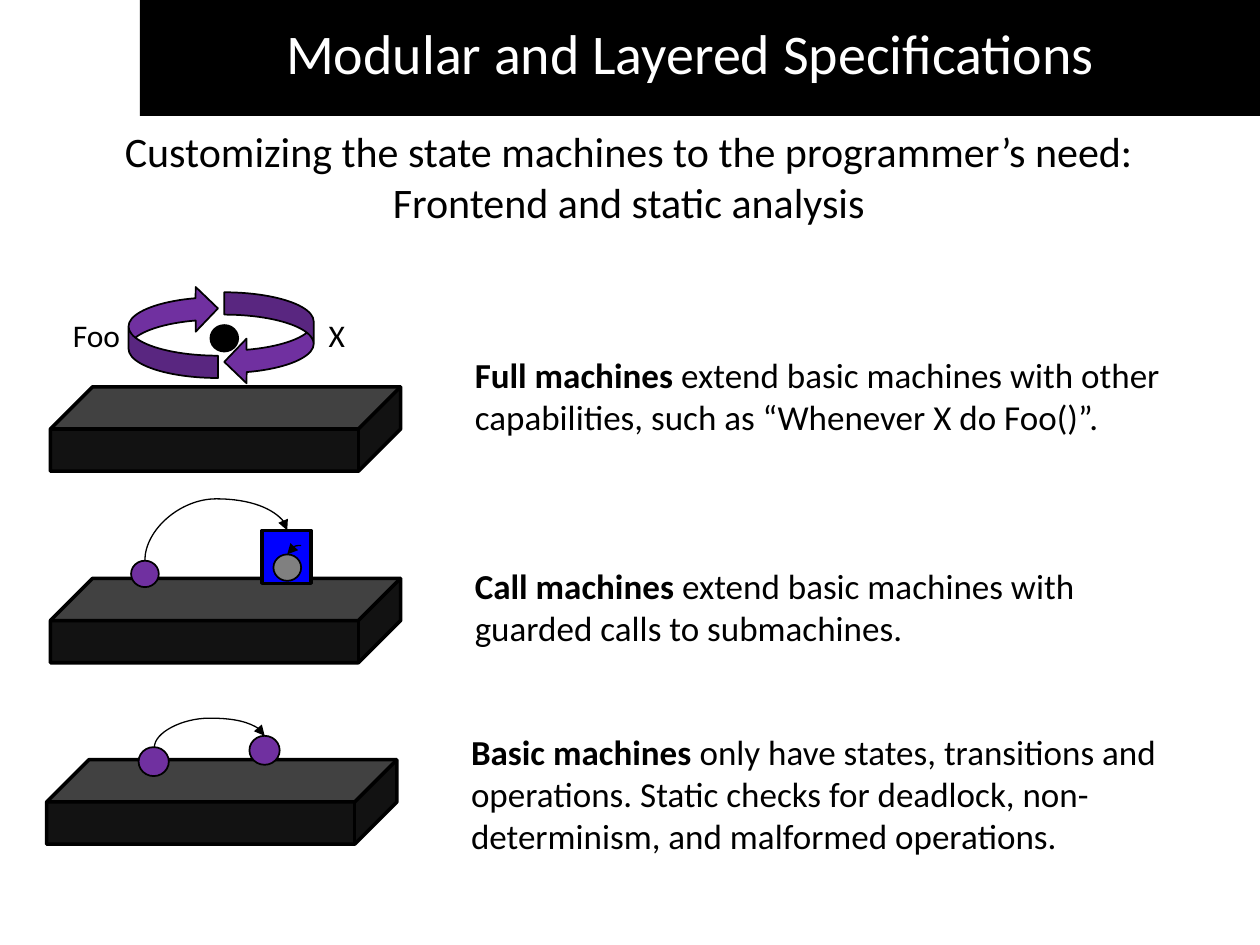
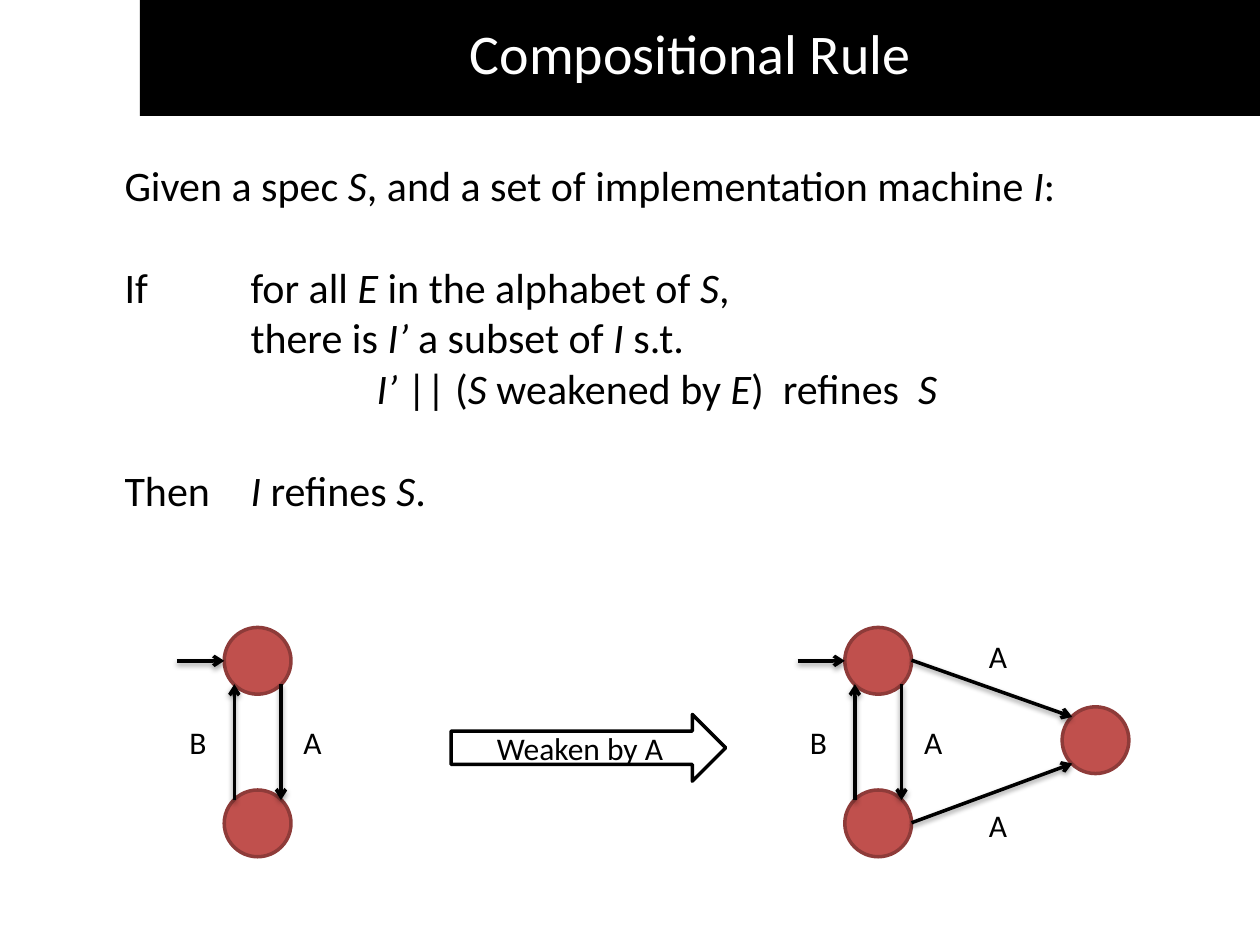
from dataclasses import dataclass
from typing import NamedTuple

from lxml.etree import SubElement
from pptx import Presentation
from pptx.dml.color import RGBColor
from pptx.enum.shapes import MSO_CONNECTOR, MSO_SHAPE
from pptx.enum.text import MSO_ANCHOR, MSO_AUTO_SIZE, PP_ALIGN
from pptx.oxml.ns import qn
from pptx.util import Inches, Pt

WIDE, HIGH = Inches(10), Inches(7.5)
COLS = 100
CELL = WIDE / COLS
FONT = "Calibri"
BLACK, WHITE, BLUE, GREY = "000000", "FFFFFF", "0000FF", "808080"
PURPLE, RED, MAROON = "7030A0", "C0504D", "8E3B39"
NODE = 5.3
SLANT = 0.8


class Spot(NamedTuple):
    col: float
    row: float


class Box(NamedTuple):
    col: float
    row: float
    cols: float
    rows: float


@dataclass
class Layer:
    words: str
    note: Box
    slab: Spot


@dataclass
class Line:
    words: str
    left: int = 0
    hang: int = 0
    gap: float = 0


@dataclass
class Tag:
    words: str
    box: Box


LAYERS = [
    Layer("*Basic machines *only have states, transitions and operations. "
          "Static checks for deadlock, non-determinism, and malformed operations.",
          Box(36.4, 57.5, 59.6, 11.1), Spot(3.7, 60.3)),
    Layer("*Call machines *extend basic machines with guarded calls to submachines.",
          Box(36.7, 44.3, 56.3, 7.7), Spot(4, 45.9)),
    Layer("*Full machines *extend basic machines with other capabilities, "
          "such as “Whenever X do Foo()”.",
          Box(36.7, 27.6, 61.4, 7.7), Spot(4, 30.7)),
]

BLANK = 29.3
RULE = [
    Line("Given a spec *S*, and a set of implementation machine *I*:"),
    Line("If\tfor all *E *in the alphabet of *S*,", 1, 1, BLANK),
    Line("there is *I’ *a subset of *I *s.t.", 1),
    Line("*I’* || (*S* weakened by *E*)  refines  *S*", 2),
    Line("Then\t*I* refines *S*.", 1, 1, BLANK),
]


def hue(code: str) -> RGBColor:
    return RGBColor.from_string(code)


def span(cells: float) -> int:
    return round(cells * CELL)


def write(shape, lines: list[Line], size: int, color: str = BLACK,
          align=PP_ALIGN.LEFT, mark: str = "bold") -> None:
    frame = shape.text_frame
    for rank, line in enumerate(lines):
        para = frame.add_paragraph() if rank else frame.paragraphs[0]
        para.alignment = align
        para.space_before = Pt(line.gap)
        if line.left:
            props = para._p.get_or_add_pPr()
            props.set("marL", str(Inches(line.left)))
            props.set("indent", str(-Inches(line.hang)))
        para.font.name, para.font.size = FONT, Pt(size)
        para.font.color.rgb = hue(color)
        for turn, part in enumerate(line.words.split("*")):
            if part:
                run = para.add_run()
                run.text = part
                if turn % 2:
                    setattr(run.font, mark, True)


def add_text(slide, box: Box, lines: list[Line], size: int, color: str = BLACK,
             align=PP_ALIGN.LEFT, mark: str = "bold", wrap: bool = True) -> None:
    shape = slide.shapes.add_textbox(*map(span, box))
    shape.text_frame.word_wrap = wrap
    shape.text_frame.auto_size = MSO_AUTO_SIZE.SHAPE_TO_FIT_TEXT
    write(shape, lines, size, color, align, mark)


def add_tag(slide, tag: Tag) -> None:
    add_text(slide, tag.box, [Line(tag.words)], 18, wrap=False)


def add_form(slide, kind, box: Box, fill: str, line: str = "", width: float = 1):
    shape = slide.shapes.add_shape(kind, *map(span, box))
    shape.shadow.inherit = False
    shape.fill.solid()
    shape.fill.fore_color.rgb = hue(fill)
    if line:
        shape.line.color.rgb = hue(line)
        shape.line.width = Pt(width)
    else:
        shape.line.fill.background()
    return shape


def add_link(slide, kind, start: Spot, end: Spot, width: float, head: str):
    link = slide.shapes.add_connector(kind, *map(span, (*start, *end)))
    link.line.color.rgb = hue(BLACK)
    link.line.width = Pt(width)
    SubElement(link.line._get_or_add_ln(), qn("a:tailEnd"), type=head)
    SubElement(link.element.spPr, qn("a:effectLst"))
    return link


def add_arrow(slide, start: Spot, end: Spot) -> None:
    link = add_link(slide, MSO_CONNECTOR.STRAIGHT, start, end, 2, "arrow")
    shade = SubElement(link.element.spPr.find(qn("a:effectLst")), qn("a:outerShdw"),
                       blurRad=str(Pt(3.1)), dist=str(Pt(1.6)), dir="5400000",
                       rotWithShape="0")
    tint = SubElement(shade, qn("a:srgbClr"), val=BLACK)
    SubElement(tint, qn("a:alpha"), val="38000")


def add_arc(slide, start: Spot, end: Spot, lift: float) -> None:
    run, rise = end.col - start.col, start.row - end.row
    mid = Spot((start.col + end.col) / 2, (start.row + end.row) / 2)
    link = add_link(slide, MSO_CONNECTOR.CURVE,
                    Spot(mid.col + rise / 2, mid.row + run / 2),
                    Spot(mid.col - rise / 2, mid.row - run / 2), 0.75, "triangle")
    link.element.spPr.find(qn("a:xfrm")).set("rot", "5400000")
    shape = link.element.spPr.find(qn("a:prstGeom"))
    guides = shape.find(qn("a:avLst"))
    if guides is None:
        guides = SubElement(shape, qn("a:avLst"))
    SubElement(guides, qn("a:gd"), name="adj1",
               fmla=f"val {round(lift / rise * 100000)}")


def add_slide(deck, title: str):
    slide = deck.slides.add_slide(deck.slide_layouts[6])
    add_form(slide, MSO_SHAPE.RECTANGLE, Box(11.1, 0, 88.9, 9.2), BLACK)
    add_text(slide, Box(9.6, 1, 90.4, 6.4), [Line(title)], 32, WHITE, PP_ALIGN.CENTER)
    return slide


def add_layer(slide, layer: Layer) -> None:
    add_text(slide, layer.note, [Line(layer.words)], 20)
    slab = add_form(slide, MSO_SHAPE.CUBE, Box(*layer.slab, 27.8, 6.7), BLACK, BLACK, 2)
    slab.adjustments[0] = 0.5
    tint = slab.element.spPr.find(qn("a:solidFill"))[0]
    SubElement(tint, qn("a:alpha"), val="93000")


def add_dot(slide, box: Box, fill: str) -> None:
    add_form(slide, MSO_SHAPE.OVAL, box, fill, BLACK)


def add_node(slide, spot: Spot) -> None:
    add_form(slide, MSO_SHAPE.OVAL, Box(*spot, NODE, NODE), RED, MAROON, 2)


def add_pair(slide, col: float) -> None:
    top, low = 49.8, 62.7
    for row in (top, low):
        add_node(slide, Spot(col, row))
    west, east = col + SLANT, col + NODE - SLANT
    foot, crown = top + NODE - SLANT, low + SLANT
    add_arrow(slide, Spot(col - 3.75, top + NODE / 2), Spot(col, top + NODE / 2))
    add_arrow(slide, Spot(east, foot), Spot(east, crown))
    add_arrow(slide, Spot(west, crown), Spot(west, foot))
    add_tag(slide, Tag("A", Box(col + NODE, 56.9, 3.5, 4)))
    add_tag(slide, Tag("B", Box(col - 3.75, 56.9, 3.4, 4)))


def draw_layers(deck) -> None:
    slide = add_slide(deck, "Modular and Layered Specifications")
    add_text(slide, Box(0, 9.5, 99.8, 9.1),
             [Line("Customizing the state machines to the programmer’s need:"),
              Line("Frontend and static analysis")], 24, align=PP_ALIGN.CENTER)
    basic, call, full = LAYERS

    add_layer(slide, basic)
    for spot in (Spot(11, 59.3), Spot(19.8, 58.4)):
        add_dot(slide, Box(*spot, 2.4, 2.3), PURPLE)
    add_arc(slide, Spot(12.25, 59.3), Spot(21, 58.4), 2.3)

    add_layer(slide, call)
    add_dot(slide, Box(10.4, 44.5, 2.2, 2.1), PURPLE)
    add_form(slide, MSO_SHAPE.RECTANGLE, Box(20.8, 42.1, 3.9, 4.2), BLUE, BLACK, 2)
    add_dot(slide, Box(21.7, 44, 2.2, 2.1), GREY)
    add_arc(slide, Spot(11.5, 44.5), Spot(22.8, 42.1), 4.9)
    hook = add_link(slide, MSO_CONNECTOR.CURVE, Spot(23.9, 43.3), Spot(22.8, 44),
                    0.75, "triangle")
    hook.element.spPr.find(qn("a:prstGeom")).set("prst", "curvedConnector2")

    add_layer(slide, full)
    for spot, turn in ((Spot(17.8, 23.2), 0), (Spot(10.2, 22.7), 180)):
        loop = add_form(slide, MSO_SHAPE.CURVED_LEFT_ARROW, Box(*spot, 7.1, 7.3),
                        PURPLE, BLACK)
        loop.rotation = turn
    add_dot(slide, Box(16.7, 25.8, 2.2, 2.1), BLACK)
    for tag in (Tag("X", Box(25.1, 24.6, 3.4, 4)), Tag("Foo", Box(4.8, 24.6, 5.8, 4))):
        add_tag(slide, tag)


def draw_rule(deck) -> None:
    slide = add_slide(deck, "Compositional Rule")
    add_text(slide, Box(8.9, 12.2, 76.6, 29.3), RULE, 24, mark="italic")
    add_pair(slide, 17.8)
    arrow = add_form(slide, MSO_SHAPE.RIGHT_ARROW, Box(35.8, 56.7, 21.8, NODE),
                     WHITE, BLACK, 2)
    arrow.text_frame.vertical_anchor = MSO_ANCHOR.MIDDLE
    write(arrow, [Line("Weaken by A")], 18, align=PP_ALIGN.CENTER)
    add_pair(slide, 67.05)
    sink = Spot(84.3, 56.1)
    add_node(slide, sink)
    for row, drop, label in ((52.4, SLANT, 50.1), (65.3, NODE - SLANT, 63.5)):
        add_arrow(slide, Spot(67.05 + NODE, row), Spot(sink.col + SLANT, sink.row + drop))
        add_tag(slide, Tag("A", Box(77.5, label, 3.5, 4)))


def main() -> None:
    deck = Presentation()
    deck.slide_width, deck.slide_height = WIDE, HIGH
    draw_layers(deck)
    draw_rule(deck)
    deck.save("out.pptx")


if __name__ == "__main__":
    main()
